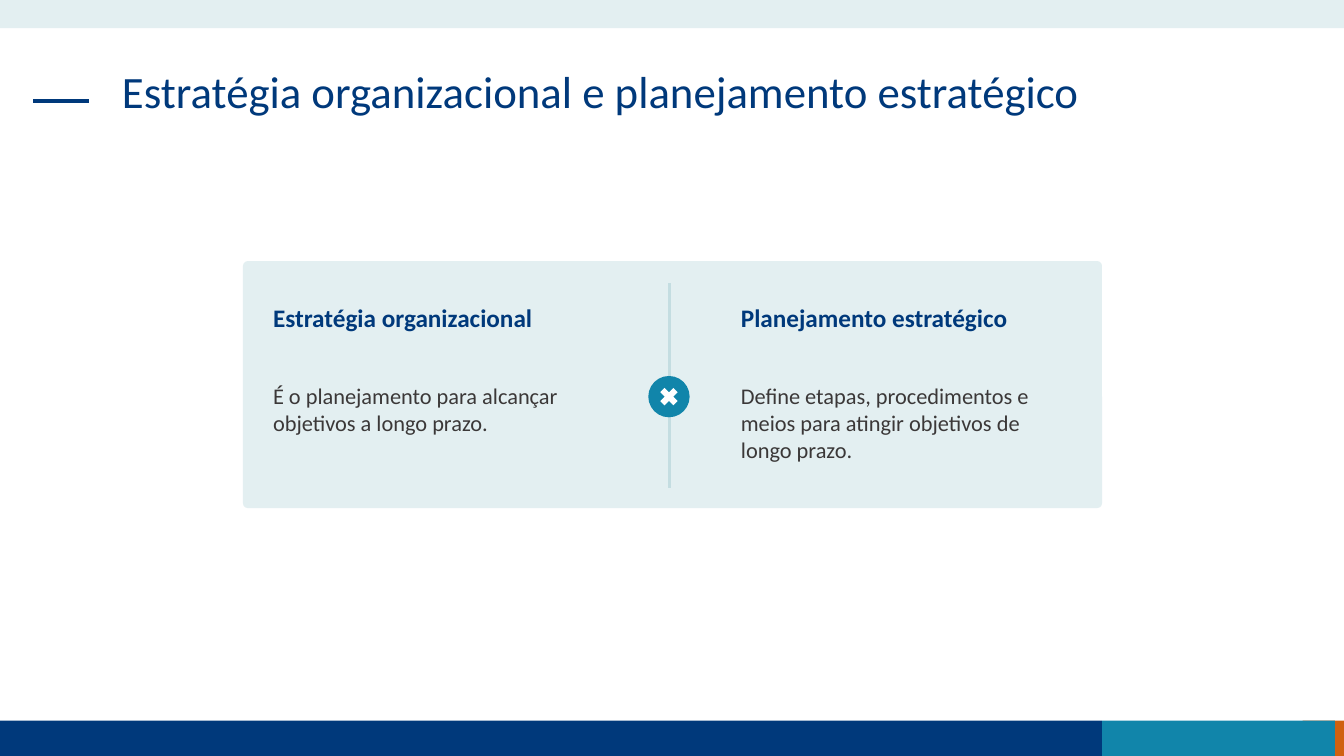
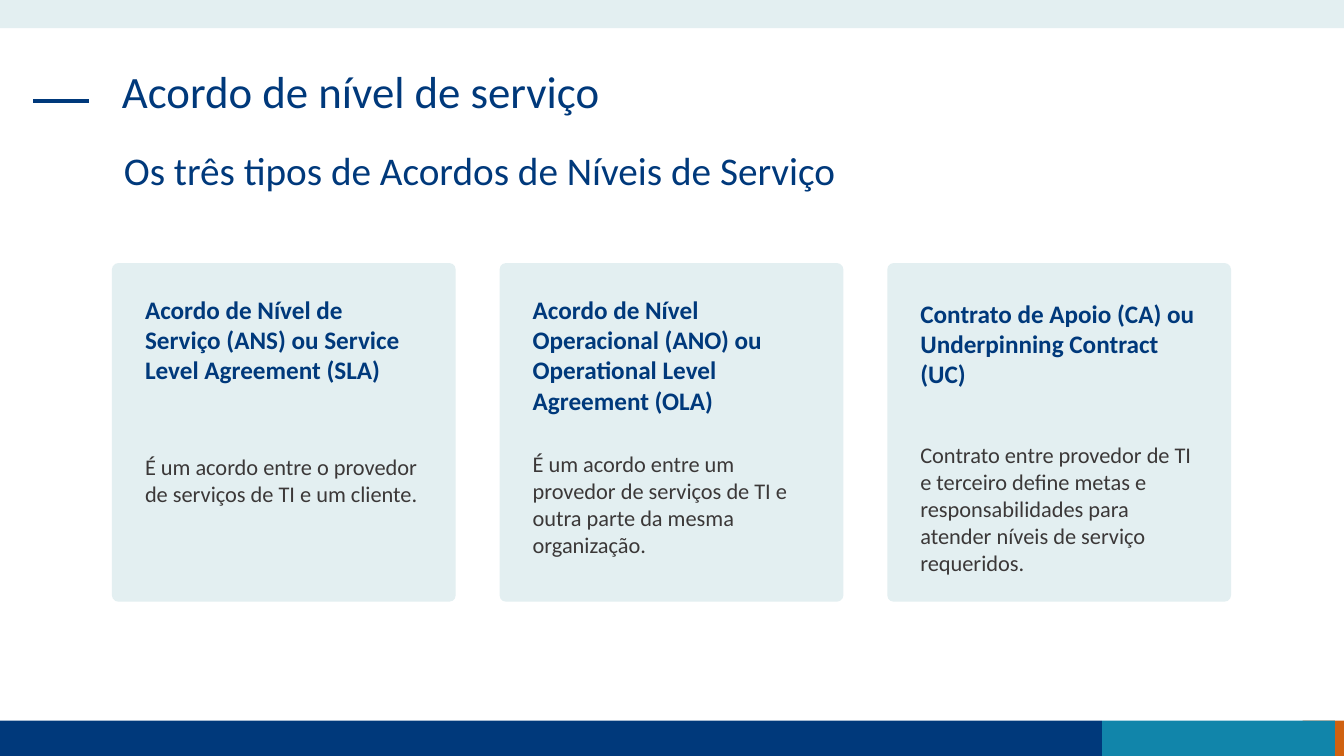
"""Builds two slides on organizational strategy and service level agreements."""
from typing import NamedTuple

from lxml import etree
from pptx import Presentation
from pptx import util as u
from pptx.dml.color import RGBColor
from pptx.enum import shapes, text
from pptx.oxml import ns

COLORS = {
    "navy": "00397B",
    "teal": "1185AA",
    "orange": "D06110",
    "pale": "E3EFF1",
    "rule": "C4DDE1",
    "gray": "3B3838",
    "white": "FFFFFF",
}
FONT = "Calibri"
SHAPE = shapes.MSO_SHAPE


class Box(NamedTuple):
    left: float
    top: float
    width: float
    height: float

    def lengths(self) -> list:
        return [u.Inches(value) for value in self]


class Band(NamedTuple):
    box: Box
    color: str


class Agreement(NamedTuple):
    heading: str
    heading_top: float
    heading_height: float
    description: str
    description_top: float
    description_height: float


class Concept(NamedTuple):
    left: float
    heading: str
    description: str
    description_height: float


BANDS = [
    Band(Box(12.92, 7.15, 0.41, 0.35), "orange"),
    Band(Box(0, 7.15, 10.93, 0.35), "navy"),
    Band(Box(10.93, 7.15, 2.31, 0.35), "teal"),
    Band(Box(0, 0, 13.33, 0.28), "pale"),
]

CONCEPTS = [
    Concept(2.61, "Estratégia organizacional",
            "É o planejamento para alcançar objetivos a longo prazo.", 0.64),
    Concept(7.25, "Planejamento estratégico",
            "Define etapas, procedimentos e meios para atingir objetivos de longo prazo.", 0.91),
]

AGREEMENTS = [
    Agreement("Acordo de Nível de Serviço (ANS) ou Service Level Agreement (SLA)", 2.87, 1.01,
              "É um acordo entre o provedor de serviços de TI e um cliente.", 4.45, 0.64),
    Agreement("Acordo de Nível Operacional (ANO) ou Operational Level Agreement (OLA)", 2.87, 1.31,
              "É um acordo entre um provedor de serviços de TI e outra parte da mesma organização.",
              4.42, 1.18),
    Agreement("Contrato de Apoio (CA) ou Underpinning Contract (UC)", 2.91, 1.01,
              "Contrato entre provedor de TI e terceiro define metas e responsabilidades "
              "para atender níveis de serviço requeridos.", 4.33, 1.45),
]


def rgb(color: str) -> RGBColor:
    return RGBColor.from_string(COLORS[color])


def write(frame, content: str, *, size: float, color: str, bold: bool = False,
          spacing: float = 1.0) -> None:
    frame.word_wrap = True
    frame.auto_size = text.MSO_AUTO_SIZE.NONE
    frame.vertical_anchor = text.MSO_ANCHOR.TOP
    paragraph = frame.paragraphs[0]
    paragraph.alignment = text.PP_ALIGN.LEFT
    paragraph.line_spacing = spacing
    run = paragraph.add_run()
    run.text = content
    run.font.name = FONT
    run.font.size = u.Pt(size)
    run.font.bold = bold
    run.font.color.rgb = rgb(color)


def add_text(slide, box: Box, content: str, **style) -> None:
    write(slide.shapes.add_textbox(*box.lengths()).text_frame, content, **style)


def add_filled(slide, kind, box: Box, color: str):
    shape = slide.shapes.add_shape(kind, *box.lengths())
    shape.shadow.inherit = False
    shape.fill.solid()
    shape.fill.fore_color.rgb = rgb(color)
    shape.line.fill.background()
    return shape


def add_card(slide, box: Box) -> None:
    card = add_filled(slide, SHAPE.ROUNDED_RECTANGLE, box, "pale")
    card.adjustments[0] = 0.019


def add_line(slide, start: tuple[float, float], end: tuple[float, float],
             color: str, width: float):
    points = [u.Inches(value) for value in (*start, *end)]
    line = slide.shapes.add_connector(shapes.MSO_CONNECTOR.STRAIGHT, *points)
    line.line.color.rgb = rgb(color)
    line.line.width = u.Pt(width)
    etree.SubElement(line.element.spPr, ns.qn("a:effectLst"))
    return line


def prepare_layout(layout, slide) -> None:
    for placeholder in list(layout.placeholders):
        if placeholder.placeholder_format.idx == 0:
            title_box = Box(1.11, 0.64, 11.1, 0.94).lengths()
            (placeholder.left, placeholder.top,
             placeholder.width, placeholder.height) = title_box
        else:
            layout.shapes.element.remove(placeholder.element)
    decorations = [add_filled(slide, SHAPE.RECTANGLE, band.box, band.color) for band in BANDS]
    decorations.append(add_line(slide, (0.33, 1), (0.88, 1), "navy", 3))
    for decoration in decorations:
        layout.shapes.element.append(decoration.element)


def set_title(slide, title: str) -> None:
    write(slide.shapes.title.text_frame, title, size=32, color="navy", spacing=0.9)


def add_heading(slide, box: Box, content: str) -> None:
    add_text(slide, box, content, size=18, color="navy", bold=True)


def add_description(slide, box: Box, content: str) -> None:
    add_text(slide, box, content, size=16, color="gray")


def build_strategy(slide) -> None:
    set_title(slide, "Estratégia organizacional e planejamento estratégico")
    add_card(slide, Box(2.41, 2.59, 8.52, 2.45))
    for concept in CONCEPTS:
        add_heading(slide, Box(concept.left, 2.95, 3.41, 0.4), concept.heading)
        add_description(slide, Box(concept.left, 3.74, 3.41, concept.description_height),
                        concept.description)
    add_line(slide, (6.64, 2.81), (6.64, 4.84), "rule", 1.5)
    add_filled(slide, SHAPE.OVAL, Box(6.43, 3.73, 0.41, 0.41), "teal")
    add_filled(slide, SHAPE.MATH_MULTIPLY, Box(6.51, 3.81, 0.25, 0.25), "white")


def build_agreements(slide) -> None:
    set_title(slide, "Acordo de nível de serviço")
    add_text(slide, Box(1.13, 1.45, 11.09, 0.59),
             "Os três tipos de Acordos de Níveis de Serviço",
             size=28, color="navy", spacing=0.9)
    first_left, pitch, inset = 1.11, 3.845, 0.23
    for column, agreement in enumerate(AGREEMENTS):
        left = first_left + column * pitch
        add_card(slide, Box(left, 2.61, 3.41, 3.36))
        add_heading(slide, Box(left + inset, agreement.heading_top, 2.96,
                               agreement.heading_height), agreement.heading)
        add_description(slide, Box(left + inset, agreement.description_top, 2.96,
                                   agreement.description_height), agreement.description)


def main() -> None:
    deck = Presentation()
    deck.slide_width = u.Inches(13.33)
    deck.slide_height = u.Inches(7.5)
    layout = deck.slide_layouts.get_by_name("Title Only")
    strategy = deck.slides.add_slide(layout)
    prepare_layout(layout, strategy)
    build_strategy(strategy)
    build_agreements(deck.slides.add_slide(layout))
    deck.save("out.pptx")


if __name__ == "__main__":
    main()
